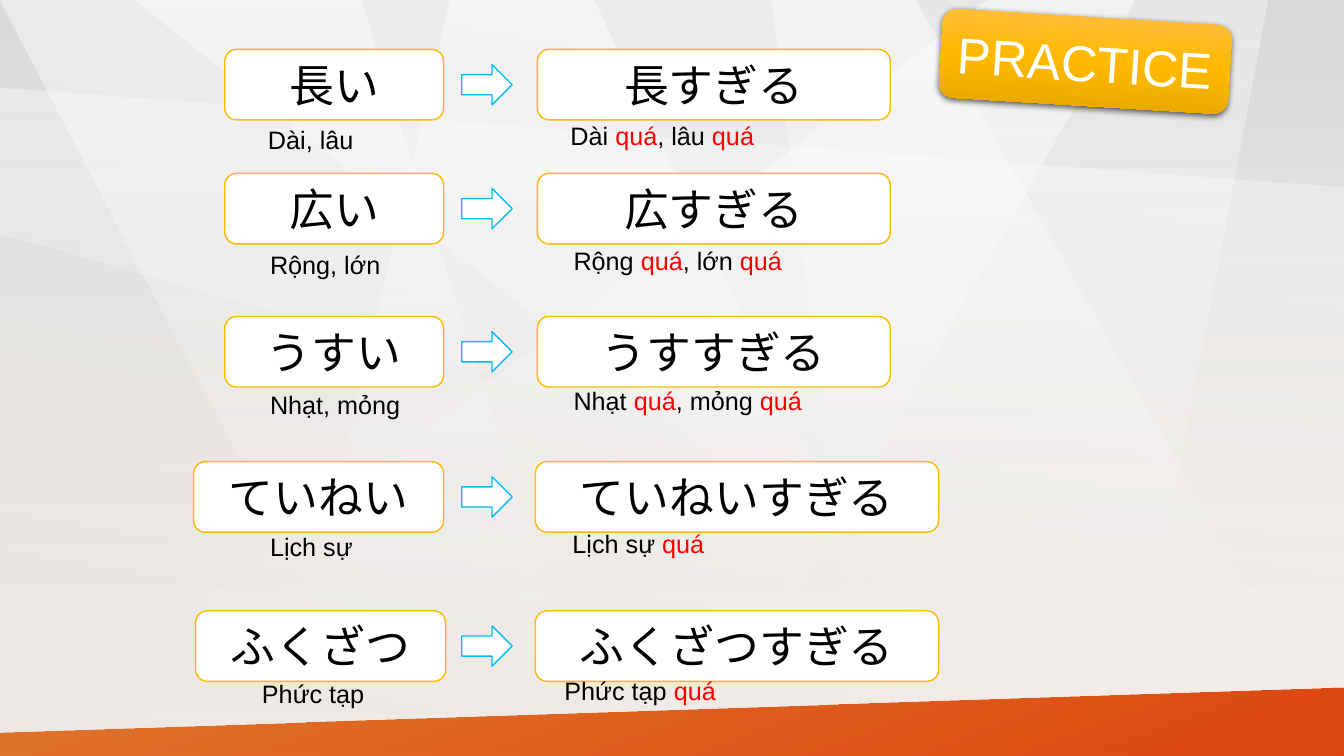
from dataclasses import dataclass

from lxml import etree
from pptx import Presentation
from pptx.dml.color import RGBColor
from pptx.enum.shapes import MSO_SHAPE
from pptx.enum.text import MSO_ANCHOR, MSO_AUTO_SIZE, PP_ALIGN
from pptx.oxml.ns import qn
from pptx.util import Emu, Pt

RECT = MSO_SHAPE.RECTANGLE
ROUND = MSO_SHAPE.ROUNDED_RECTANGLE
ARROW = MSO_SHAPE.RIGHT_ARROW
MIDDLE = MSO_ANCHOR.MIDDLE
CENTER = PP_ALIGN.CENTER
GROW = MSO_AUTO_SIZE.SHAPE_TO_FIT_TEXT

SCALE = 9144
WIDE, HIGH = 1333, 750


@dataclass(frozen=True)
class Theme:
    font: str = "Arial"
    title: int = 36
    word: int = 32
    note: int = 18
    ink: str = "000000"
    paper: str = "FFFFFF"
    gold: str = "FFB900"
    blue: str = "00BCF2"
    red: str = "FF0000"
    back: tuple = ((0, "D9D9D9", 50), (100, "FCF5EF", 100))
    veil: tuple = ((0, "BFBFBF", 25), (100, "FFFFFF", 0))
    band: tuple = ((0, "DD5900", 80), (100, "DC3C00", 95))
    badge: tuple = ((0, "FFBF4B", 100), (50, "FFB900", 100), (100, "E3A400", 100))


THEME = Theme()
STRONG = "quá"

RAYS = [
    (50, [(979, 0), (0, 751), (701, 751), (1125, 0)]),
    (50, [(0, 0), (358, 0), (594, 750), (391, 750)]),
    (50, [(132, 0), (907, 0), (1333, 750), (1083, 750)]),
    (40, [(765, 0), (856, 750), (1115, 750), (1257, 0)]),
    (50, [(589, 0), (446, 0), (272, 750), (939, 750)]),
    (40, [(0, 87), (1333, 186), (1333, 610), (0, 232)]),
]
BAND = [(0, 727), (1334, 682), (1333, 751), (0, 751)]

SHORT, LONG = (533, 350), (531, 400)
ROWS = [
    (49, (223, 217), "長い", (256, 118), "Dài, lâu",
     SHORT, (556, 114), "Dài quá, lâu quá"),
    (172, (223, 217), "広い", (258, 242), "Rộng, lớn",
     SHORT, (559, 238), "Rộng quá, lớn quá"),
    (314, (223, 217), "うすい", (258, 381), "Nhạt, mỏng",
     SHORT, (559, 377), "Nhạt quá, mỏng quá"),
    (458, (192, 248), "ていねい", (258, 522), "Lịch sự",
     LONG, (558, 519), "Lịch sự quá"),
    (606, (194, 248), "ふくざつ", (250, 668), "Phức tạp",
     LONG, (550, 665), "Phức tạp quá"),
]


def px(*sizes):
    return [Emu(size * SCALE) for size in sizes]


def rgb(code):
    return RGBColor.from_string(code)


def tint(node, code, alpha):
    color = etree.SubElement(node, qn("a:srgbClr"), val=code)
    etree.SubElement(color, qn("a:alpha"), val=str(alpha * 1000))


def blend(fill, owner, stops, angle):
    fill.gradient()
    fill.gradient_angle = 360 - angle
    group = next(owner.element.iter(qn("a:gsLst")))
    for stop in list(group):
        group.remove(stop)
    for place, code, alpha in stops:
        stop = etree.SubElement(group, qn("a:gs"), pos=str(place * 1000))
        tint(stop, code, alpha)


def glaze(shape, stops, angle):
    shape.shadow.inherit = False
    shape.line.fill.background()
    blend(shape.fill, shape, stops, angle)


def facet(slide, points, stops, angle):
    build = slide.shapes.build_freeform(*points[0], scale=SCALE)
    build.add_line_segments(points[1:], close=True)
    glaze(build.convert_to_shape(), stops, angle)


def style(para, size, color):
    para.font.name = THEME.font
    para.font.size = Pt(size)
    if color:
        para.font.color.rgb = rgb(color)


def label(shape, text, size, color):
    frame = shape.text_frame
    frame.vertical_anchor = MIDDLE
    para = frame.paragraphs[0]
    para.text = text
    para.alignment = CENTER
    style(para, size, color)


def block(slide, kind, box, edge):
    shape = slide.shapes.add_shape(kind, *px(*box))
    shape.shadow.inherit = False
    shape.fill.solid()
    shape.fill.fore_color.rgb = rgb(THEME.paper)
    shape.line.color.rgb = rgb(edge)
    shape.line.width = Pt(1)
    return shape


def card(slide, span, top, text):
    left, width = span
    shape = block(slide, ROUND, (left, top, width, 70), THEME.gold)
    label(shape, text, THEME.word, THEME.ink)


def note(slide, spot, width, text):
    frame = slide.shapes.add_textbox(*px(*spot, width, 40)).text_frame
    frame.word_wrap = True
    frame.auto_size = GROW
    para = frame.paragraphs[0]
    mixed = STRONG in text
    style(para, THEME.note, None if mixed else THEME.ink)
    if not mixed:
        para.text = text
        return
    for index, part in enumerate(text.split(STRONG)):
        pairs = [(part, THEME.ink)]
        if index:
            pairs.insert(0, (STRONG, THEME.red))
        for words, color in pairs:
            if words:
                run = para.add_run()
                run.text = words
                run.font.color.rgb = rgb(color)


def scene(slide):
    blend(slide.background.fill, slide, THEME.back, 90)
    for alpha, points in RAYS:
        stops = ((0, THEME.paper, alpha), (100, THEME.paper, 0))
        facet(slide, points, stops, 90)
    veil = slide.shapes.add_shape(RECT, *px(0, -1, WIDE, HIGH))
    glaze(veil, THEME.veil, 280)
    facet(slide, BAND, THEME.band, 70)


def badge(slide, text):
    shape = slide.shapes.add_shape(ROUND, *px(933, 17, 287, 88))
    shape.rotation = 3.5
    glaze(shape, THEME.badge, 90)
    effect = next(shape.element.iter(qn("a:effectLst")))
    shade = etree.SubElement(
        effect, qn("a:outerShdw"), blurRad=str(Pt(4.5)), dist=str(Pt(1.5)),
        dir="5400000", rotWithShape="0")
    tint(shade, THEME.ink, 63)
    label(shape, text, THEME.title, THEME.paper)


def main():
    deck = Presentation()
    deck.slide_width, deck.slide_height = px(WIDE, HIGH)
    slide = deck.slides.add_slide(deck.slide_layouts[6])
    scene(slide)
    badge(slide, "PRACTICE")
    for top, span, word, spot, gloss, wide, place, much in ROWS:
        stem = word.removesuffix("い") if word != "ていねい" else word
        card(slide, span, top, word)
        block(slide, ARROW, (458, top + 15, 50, 40), THEME.blue)
        card(slide, wide, top, stem + "すぎる")
        note(slide, spot, 200, gloss)
        note(slide, place, 400, much)
    deck.save("out.pptx")


if __name__ == "__main__":
    main()
